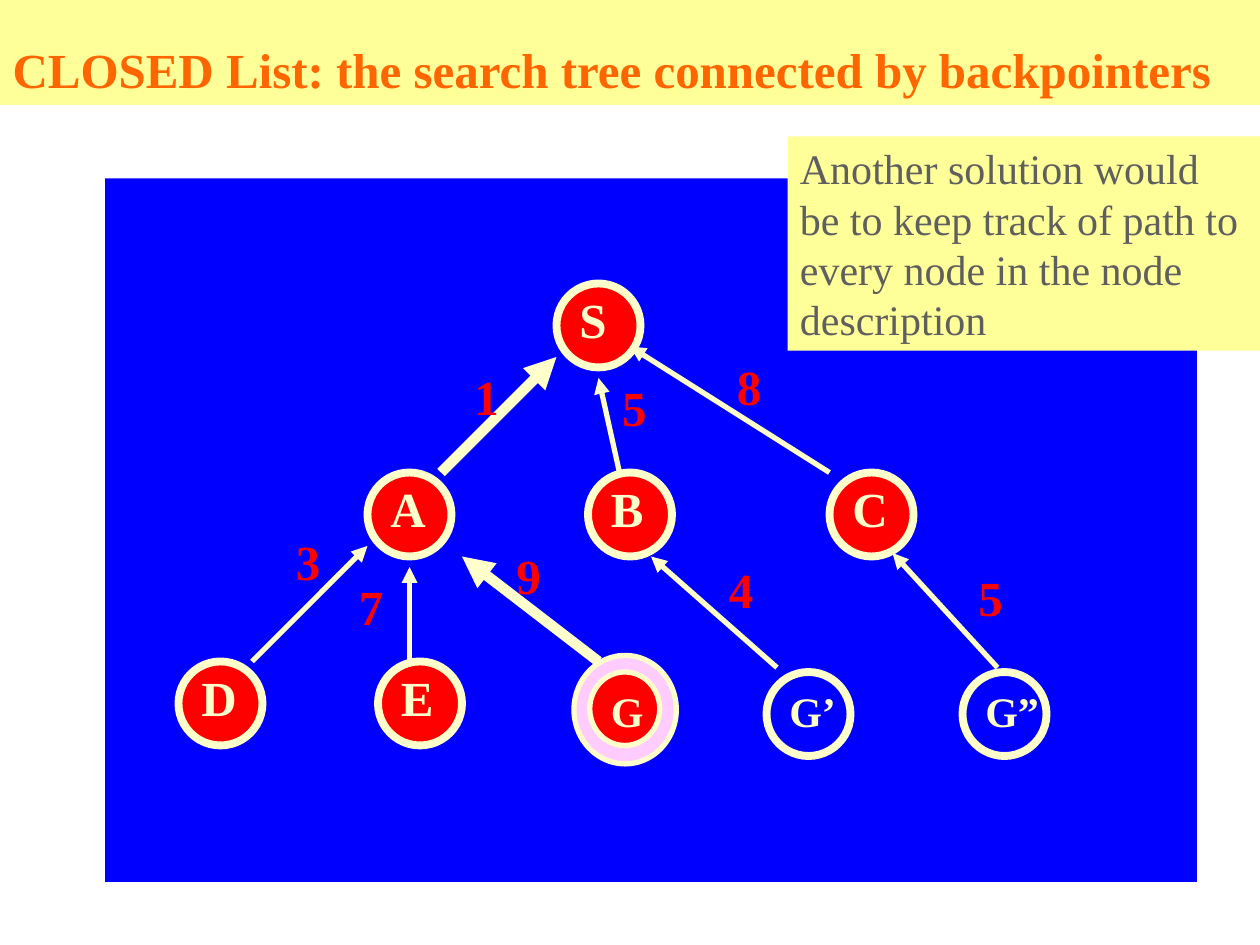
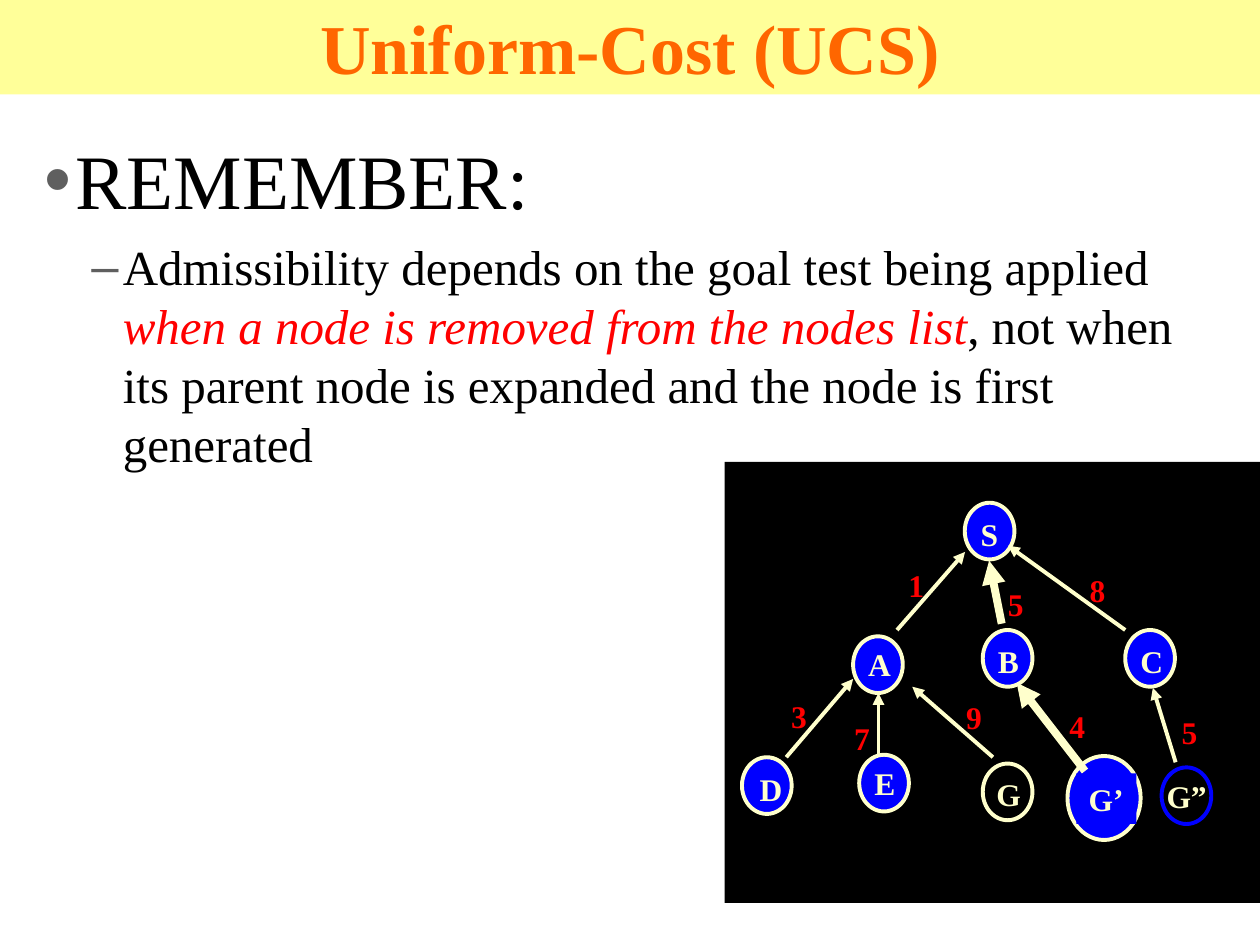
from lxml import etree
from pptx import Presentation
from pptx import util as u
from pptx.dml import color
from pptx.enum import shapes, text
from pptx.oxml import ns

CREAM, YELLOW, ORANGE = "FFFFCC", "FFFF99", "FF6600"
RED, BLUE, PINK, GREY, BLACK = "FF0000", "0000FF", "FFCCFF", "5F5F5F", "000000"
ADVANCE = {"S": 0.56, "A": 0.72, "C": 0.72, "D": 0.72, "B": 0.67, "E": 0.67,
           "G": 0.78, "G’": 1.11, "G”": 1.28}


def rgb(value):
    return color.RGBColor.from_string(value)


def write(para, content, size=28, tint=BLACK, bold=False, italic=False):
    span = para.add_run()
    span.text = content
    font = span.font
    font.name, font.size = "Times New Roman", u.Pt(size)
    font.bold, font.italic = bold, italic
    font.color.rgb = rgb(tint)


def add_child(parent, tag, **attributes):
    return etree.SubElement(parent, ns.qn(tag), **attributes)


class Sketch:
    def __init__(self, deck):
        self.deck = deck

    def start(self, layout, title, height, size, align, node_size, node_fill,
              outline, label_size, edge):
        self.page = self.deck.slides.add_slide(self.deck.slide_layouts[layout])
        self.node_size, self.node_fill = node_size, node_fill
        self.outline, self.label_size, self.edge_width = outline, label_size, edge
        box = self.page.shapes.title
        self.place(box, 0, 0, 720, height)
        box.fill.solid()
        box.fill.fore_color.rgb = rgb(YELLOW)
        frame = box.text_frame
        frame.auto_size = text.MSO_AUTO_SIZE.NONE
        frame.vertical_anchor = text.MSO_ANCHOR.BOTTOM
        para = frame.paragraphs[0]
        para.alignment = align
        write(para, title, size=size, tint=ORANGE, bold=True)

    def place(self, box, left, top, width, height):
        box.left, box.top = u.Pt(left), u.Pt(top)
        box.width, box.height = u.Pt(width), u.Pt(height)

    def shape(self, kind, left, top, width, height, fill=None, line=None, weight=0):
        box = self.page.shapes.add_shape(
            kind, u.Pt(left), u.Pt(top), u.Pt(width), u.Pt(height))
        box.shadow.inherit = False
        if fill:
            box.fill.solid()
            box.fill.fore_color.rgb = rgb(fill)
        else:
            box.fill.background()
        if line:
            box.line.color.rgb = rgb(line)
            box.line.width = u.Pt(weight)
        else:
            box.line.fill.background()
        return box

    def panel(self, left, top, width, height, fill):
        return self.shape(shapes.MSO_SHAPE.RECTANGLE, left, top, width, height, fill)

    def circle(self, left, top, width, height, fill, line=CREAM, weight=None):
        self.shape(shapes.MSO_SHAPE.OVAL, left, top, width, height, fill, line,
                   weight or self.outline)

    def label(self, content, left, top, size=None, tint=CREAM, fill=None):
        size = size or self.label_size
        width = 14.4 + size * ADVANCE.get(content, 0.5)
        box = self.page.shapes.add_textbox(
            u.Pt(left), u.Pt(top), u.Pt(width), u.Pt(size * 1.2 + 7.2))
        if fill:
            box.fill.solid()
            box.fill.fore_color.rgb = rgb(fill)
        frame = box.text_frame
        frame.word_wrap = False
        frame.auto_size = text.MSO_AUTO_SIZE.SHAPE_TO_FIT_TEXT
        write(frame.paragraphs[0], content, size=size, tint=tint, bold=True)

    def nodes(self, rows):
        for name, left, top, across, down in rows:
            self.circle(left, top, *self.node_size, self.node_fill)
            self.label(name, left + across, top + down)

    def edges(self, rows, path_edges):
        for name, *ends in rows:
            line = self.page.shapes.add_connector(
                shapes.MSO_CONNECTOR.STRAIGHT, *map(u.Pt, ends))
            line.line.color.rgb = rgb(CREAM)
            line.line.width = u.Pt(self.edge_width * (2 if name in path_edges else 1))
            add_child(line.line._get_or_add_ln(), "a:headEnd", type="triangle")
            add_child(line._element.spPr, "a:effectLst")

    def costs(self, rows):
        for cost, left, top in rows:
            self.label(cost, left, top, tint=RED)

    def note(self, content, left, top, width, height):
        box = self.panel(left, top, width, height, YELLOW)
        frame = box.text_frame
        frame.word_wrap = True
        frame.vertical_anchor = text.MSO_ANCHOR.TOP
        para = frame.paragraphs[0]
        para.alignment = text.PP_ALIGN.LEFT
        write(para, content, size=24, tint=GREY)

    def bullets(self, items, left, top, width, height):
        box = self.page.placeholders[1]
        self.place(box, left, top, width, height)
        frame = box.text_frame
        frame.auto_size = text.MSO_AUTO_SIZE.NONE
        for level, (mark, indent, before, size, spans) in enumerate(items):
            para = frame.add_paragraph() if level else frame.paragraphs[0]
            para.level = level
            props = para._p.get_or_add_pPr()
            props.set("marL", str(u.Pt(indent)))
            props.set("indent", str(u.Pt(-18)))
            add_child(add_child(props, "a:buClr"), "a:srgbClr", val=GREY)
            add_child(props, "a:buChar", char=mark)
            para.space_before = u.Pt(before)
            for content, look in spans:
                write(para, content, size=size, **look)


def closed_list(sketch):
    sketch.start(5, "CLOSED List: the search tree connected by backpointers", 60, 28,
                 text.PP_ALIGN.LEFT, (48, 48), RED, 4.5, 28, 3)
    sketch.panel(60, 102, 624, 402, BLUE)
    sketch.circle(328, 374.5, 58.5, 62, PINK, weight=3)
    sketch.nodes((name, left, top, 6, 0) for name, left, top in [
        ("S", 318, 162), ("C", 474, 270), ("B", 336, 270),
        ("A", 210, 270), ("D", 102, 378), ("E", 216, 378)])
    sketch.edges([
        ("SA", 318, 204, 252, 270), ("AE", 234, 324, 234, 378),
        ("AG", 264, 318, 342, 378), ("SB", 342, 216, 354, 270),
        ("SC", 360, 198, 474, 270), ("BG’", 372, 318, 444, 381.5),
        ("CG”", 510, 316, 570, 381.5), ("AD", 210, 312, 144, 378)], {"SA", "AG"})
    sketch.costs([("1", 264, 206), ("5", 348.5, 212), ("8", 414, 200),
                  ("9", 288, 308), ("4", 409.5, 316), ("5", 552, 320.5),
                  ("3", 162, 300), ("7", 198, 326)])
    for name, left in [("G’", 438), ("G”", 550)]:
        sketch.circle(left, 384, *sketch.node_size, None)
        sketch.label(name, left + 6, 388, size=24)
    sketch.circle(337, 384, 40, 42, RED, weight=3)
    sketch.label("G", 342, 388, size=24)
    sketch.note("Another solution would be to keep track of path to every node "
                "in the node description", 450, 78, 270, 122.4)


def uniform_cost(sketch):
    sketch.start(1, "Uniform-Cost (UCS)", 54, 40, text.PP_ALIGN.CENTER,
                 (28.4, 32.4), BLUE, 2.25, 18, 2.25)
    sketch.bullets([
        ("•", 18, 0, 44, [("REMEMBER:", {})]),
        ("–", 45, 7, 28, [
            ("Admissibility depends on the goal test being applied ", {}),
            ("when a node is removed from the nodes list", {"tint": RED, "italic": True}),
            (", not when its parent node is expanded and the node is first generated", {})]),
    ], 18, 72, 678, 426)
    sketch.panel(414, 264, 306, 252, BLACK)
    sketch.nodes([
        ("S", 551.3, 287.3, 2, 3.6), ("C", 643, 360, 1.5, 3.6),
        ("B", 561.6, 360, 1.5, 3.6), ("A", 487.5, 363.6, 1.5, 1.5),
        ("D", 424, 432.7, 3, 3.6), ("E", 491, 431.3, 1.5, 2)])
    sketch.circle(610, 432, 41.8, 48, BLUE)
    sketch.label("G’", 615, 442, fill=BLUE)
    for name, left, top, across, down, line in [
            ("G”", 663.8, 438.5, -4.3, 2, BLUE), ("G", 561.6, 436.3, 0.7, 3, CREAM)]:
        sketch.label(name, left + across, top + down)
        sketch.circle(left, top, *sketch.node_size, None, line)
    sketch.edges([
        ("SA", 551.5, 315.4, 512.6, 360), ("AE", 502, 396, 502, 432.7),
        ("AG", 521.3, 392.4, 567.4, 432.7), ("SB", 565.2, 320.4, 572.4, 356.4),
        ("SC", 576, 311.8, 643, 360), ("AD", 487.5, 388, 449.3, 432.7),
        ("BG’", 581, 390.2, 620, 440.6), ("CG”", 658.8, 393.1, 671.8, 435.6)],
        {"SB", "BG’"})
    sketch.costs([("1", 512, 319.7), ("5", 568.8, 330.5), ("9", 545, 395.3),
                  ("3", 445, 394.6), ("7", 481, 407.5), ("8", 615.6, 322.6),
                  ("5", 668.2, 404), ("4", 604, 400.3)])


def main():
    deck = Presentation()
    deck.slide_width, deck.slide_height = u.Pt(720), u.Pt(540)
    sketch = Sketch(deck)
    closed_list(sketch)
    uniform_cost(sketch)
    deck.save("out.pptx")


if __name__ == "__main__":
    main()
